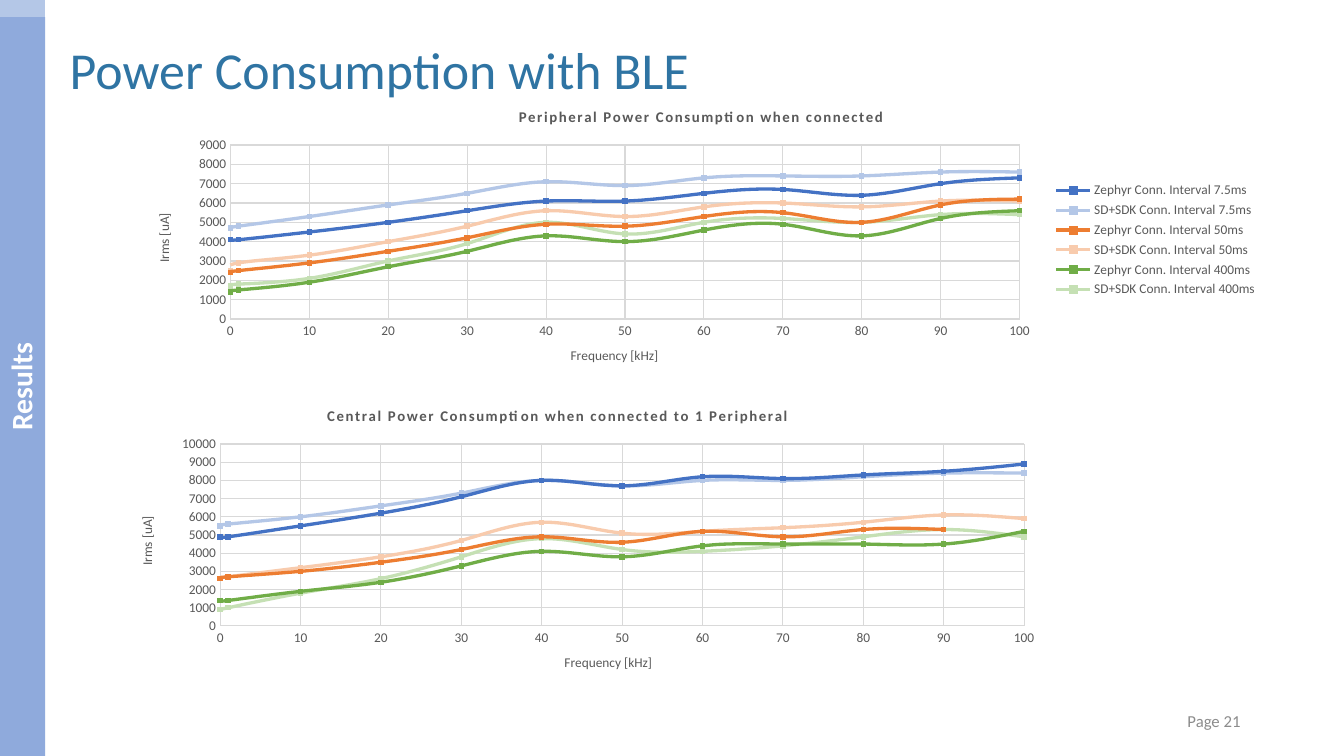
import pptx
import pptx.chart.data
import pptx.dml.color
import pptx.enum.chart
import pptx.enum.shapes
import pptx.enum.text
import pptx.oxml
import pptx.oxml.ns
import pptx.util

RGB = pptx.dml.color.RGBColor
PX = 8572.5  # EMU per pixel
FONT = "Calibri"
WHITE = RGB(0xFF, 0xFF, 0xFF)
GREY = RGB(0x8C, 0x8C, 0x8C)
TEXT = RGB(0x59, 0x59, 0x59)
GRID = RGB(0xD9, 0xD9, 0xD9)
TITLE = RGB(0x2F, 0x74, 0xA3)
BAR = RGB(0x8F, 0xAA, 0xDC)
BLUE = RGB(0x44, 0x72, 0xC4)
LIGHT_BLUE = RGB(0xB4, 0xC7, 0xE7)
ORANGE = RGB(0xED, 0x7D, 0x31)
LIGHT_ORANGE = RGB(0xF8, 0xCB, 0xAD)
GREEN = RGB(0x70, 0xAD, 0x47)
LIGHT_GREEN = RGB(0xC5, 0xE0, 0xB4)
COLOURS = (BLUE, LIGHT_BLUE, ORANGE, LIGHT_ORANGE, GREEN, LIGHT_GREEN)

FREQUENCIES = [0, 1, *range(10, 101, 10)]
PERIPHERAL_NAMES = [f"{stack} Conn. Interval {interval}"
                    for interval in ("7.5ms", "50ms", "400ms")
                    for stack in ("Zephyr", "SD+SDK")]
CENTRAL_NAMES = [f"Series {n}" for n in range(1, 7)]
PERIPHERAL = (
    (4100, 4100, 4500, 5000, 5600, 6100, 6100, 6500, 6700, 6400, 7000, 7300),
    (4700, 4800, 5300, 5900, 6500, 7100, 6900, 7300, 7400, 7400, 7600, 7600),
    (2400, 2500, 2900, 3500, 4200, 4900, 4800, 5300, 5500, 5000, 5900, 6200),
    (2500, 2900, 3300, 4000, 4800, 5600, 5300, 5800, 6000, 5800, 6100, 6100),
    (1400, 1500, 1900, 2700, 3500, 4300, 4000, 4600, 4900, 4300, 5200, 5600),
    (1700, 1800, 2100, 3000, 3900, 5000, 4400, 5000, 5200, 5000, 5400, 5400),
)
CENTRAL = (
    (4900, 4900, 5500, 6200, 7100, 8000, 7700, 8200, 8100, 8300, 8500, 8900),
    (5500, 5600, 6000, 6600, 7300, 8000, 7700, 8000, 8000, 8200, 8400, 8400),
    (2600, 2700, 3000, 3500, 4200, 4900, 4600, 5200, 4900, 5300, 5300),
    (2600, 2700, 3200, 3800, 4700, 5700, 5100, 5200, 5400, 5700, 6100, 5900),
    (1400, 1400, 1900, 2400, 3300, 4100, 3800, 4400, 4500, 4500, 4500, 5200),
    (900, 1000, 1800, 2600, 3800, 4800, 4200, 4100, 4400, 4900, 5300, 4900),
)


def emu(*pixels):
    """Turn pixel lengths into EMU."""
    return [pptx.util.Emu(round(n * PX)) for n in pixels]


def style(font, size, colour, bold=False):
    """Set the face, size, colour and weight of a font."""
    font.name, font.size, font.bold = FONT, pptx.util.Pt(size), bold
    font.color.rgb = colour


def write(tf, text, size, colour, bold=False, align=None):
    """Write one run into the first paragraph and return the run."""
    p = tf.paragraphs[0]
    p.alignment = align
    r = p.add_run()
    r.text = text
    style(r.font, size, colour, bold)
    return r


def add_bar(s, box, colour):
    """Add a plain filled rectangle."""
    bar = s.shapes.add_shape(pptx.enum.shapes.MSO_SHAPE.RECTANGLE, *emu(*box))
    bar.shadow.inherit = False
    bar.fill.solid()
    bar.fill.fore_color.rgb = colour
    bar.line.fill.background()
    return bar


def add_sidebar(s, box):
    """Add the section strip with its upward-reading label."""
    x, y, w, h = box
    cap = 17
    add_bar(s, box, LIGHT_BLUE)
    bar = add_bar(s, (x, y + cap, w, h - cap), BAR)
    bar.rotation = 180
    tf = bar.text_frame
    tf._txBody.bodyPr.set("vert", "vert")
    tf.vertical_anchor = pptx.enum.text.MSO_ANCHOR.MIDDLE
    tf.paragraphs[0].line_spacing = 0.93
    write(tf, "Results", 20, WHITE, True, pptx.enum.text.PP_ALIGN.CENTER)


def set_title(s, box):
    """Place and fill the title placeholder."""
    sp = s.shapes.title
    sp.left, sp.top, sp.width, sp.height = emu(*box)
    tf = sp.text_frame
    tf.auto_size = pptx.enum.text.MSO_AUTO_SIZE.NONE
    tf.vertical_anchor = pptx.enum.text.MSO_ANCHOR.MIDDLE
    write(tf, "Power Consumption with BLE", 35, TITLE,
          align=pptx.enum.text.PP_ALIGN.LEFT)


def add_page_number(s, box):
    """Add the right-aligned page label."""
    tf = s.shapes.add_textbox(*emu(*box)).text_frame
    tf.word_wrap = True
    tf.vertical_anchor = pptx.enum.text.MSO_ANCHOR.MIDDLE
    write(tf, "Page 21", 11.3, GREY, align=pptx.enum.text.PP_ALIGN.RIGHT)


def set_layout(parent, index, **fractions):
    """Give a chart part a manual layout as fractions of the chart."""
    for old in parent.findall(pptx.oxml.ns.qn("c:layout")):
        parent.remove(old)
    target = '<c:layoutTarget val="inner"/>' if "w" in fractions else ""
    modes = "".join(f'<c:{k}Mode val="edge"/>' for k in "xy")
    sizes = "".join(f'<c:{k} val="{v:.3f}"/>' for k, v in fractions.items())
    parent.insert(index, pptx.oxml.parse_xml(
        f'<c:layout {pptx.oxml.ns.nsdecls("c")}><c:manualLayout>'
        f"{target}{modes}{sizes}</c:manualLayout></c:layout>"))


def format_axis(axis, title, top, step):
    """Format an axis, its grid and its title."""
    axis.minimum_scale, axis.maximum_scale, axis.major_unit = 0, top, step
    axis.major_tick_mark = axis.minor_tick_mark = pptx.enum.chart.XL_TICK_MARK.NONE
    axis.has_major_gridlines = True
    for line in (axis.format.line, axis.major_gridlines.format.line):
        line.color.rgb, line.width = GRID, pptx.util.Pt(0.75)
    style(axis.tick_labels.font, 9, TEXT)
    write(axis.axis_title.text_frame, title, 9, TEXT)


def add_power_chart(s, box, plot, title, names, rows, top, title_at=None,
                    legend=False):
    """Add a smooth scatter chart; plot and title_at are relative to box."""
    w, h = box[2:]
    data = pptx.chart.data.XyChartData()
    for name, row in zip(names, rows):
        series = data.add_series(name)
        for x, y in zip(FREQUENCIES, row):
            series.add_data_point(x, y)
    chart = s.shapes.add_chart(pptx.enum.chart.XL_CHART_TYPE.XY_SCATTER_SMOOTH,
                               *emu(*box), data).chart
    style(chart.font, 10, TEXT)
    r = write(chart.chart_title.text_frame, title, 10, TEXT, True)
    r.font._element.set("spc", "120")
    if title_at:
        set_layout(chart.chart_title._element, 1,
                   x=title_at[0] / w, y=title_at[1] / h)
    set_layout(chart._chartSpace.chart.plotArea, 0, x=plot[0] / w,
               y=plot[1] / h, w=plot[2] / w, h=plot[3] / h)
    format_axis(chart.category_axis, "Frequency [kHz]", 100, 10)
    format_axis(chart.value_axis, "Irms [uA]", top, 1000)
    chart.plots[0].vary_by_categories = False
    for series, colour in zip(chart.plots[0].series, COLOURS):
        series._element.get_or_add_smooth().val = True
        series.format.line.color.rgb = colour
        series.format.line.width = pptx.util.Pt(2.25)
        marker = series.marker
        marker.style, marker.size = pptx.enum.chart.XL_MARKER_STYLE.SQUARE, 3
        marker.format.fill.solid()
        marker.format.fill.fore_color.rgb = colour
        marker.format.line.color.rgb = colour
    chart.has_legend = legend
    if legend:
        chart.legend.position = pptx.enum.chart.XL_LEGEND_POSITION.RIGHT
        chart.legend.include_in_layout = False
        style(chart.legend.font, 9, TEXT)


prs = pptx.Presentation()
prs.slide_width, prs.slide_height = emu(1344, 756)
s = prs.slides.add_slide(prs.slide_layouts[5])
add_sidebar(s, (0, 0, 45, 756))
set_title(s, (59, 32, 1285, 74))
add_power_chart(s, (134, 93, 1134, 294), (96, 52, 789, 174),
                "Peripheral Power Consumption when connected",
                PERIPHERAL_NAMES, PERIPHERAL, 9000, legend=True)
add_power_chart(s, (134, 397, 1134, 294), (86, 47, 804, 182),
                "Central Power Consumption when connected to 1 Peripheral",
                CENTRAL_NAMES, CENTRAL, 10000, title_at=(190, 7))
add_page_number(s, (948, 700, 303, 41))
prs.save("out.pptx")
